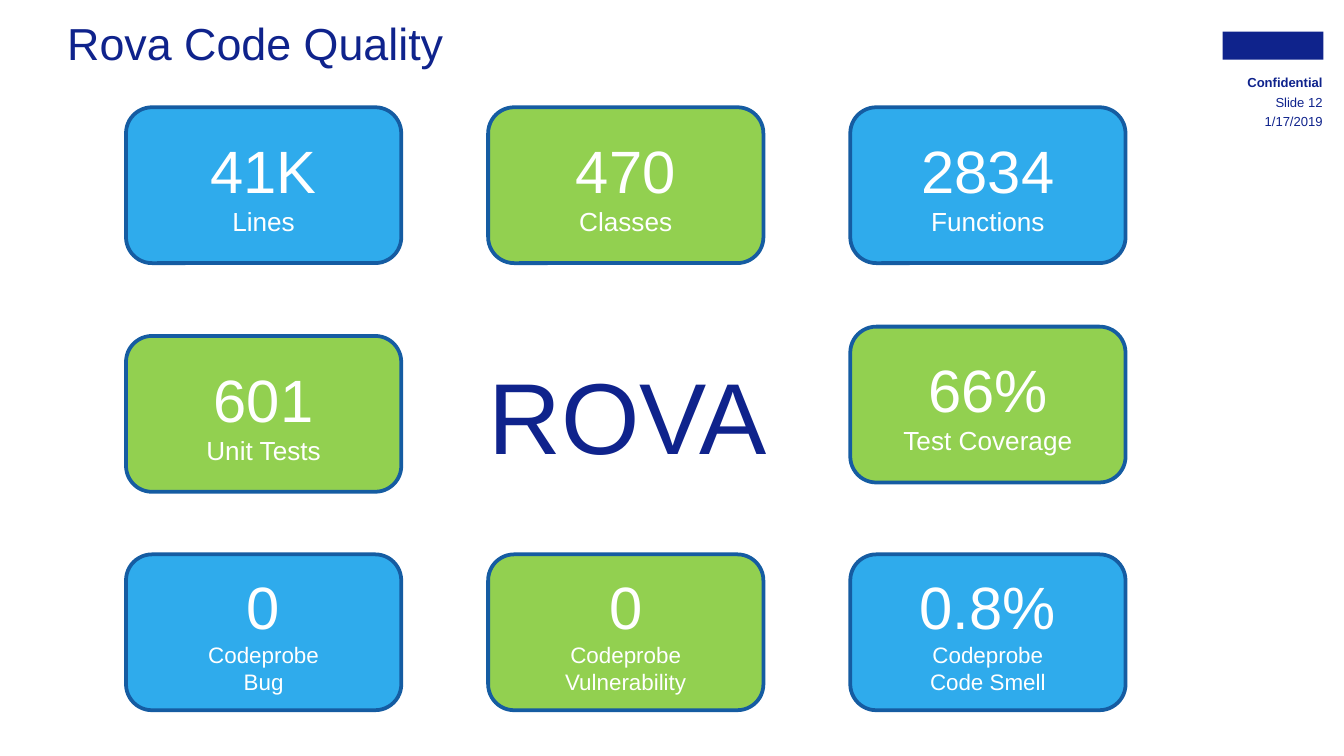
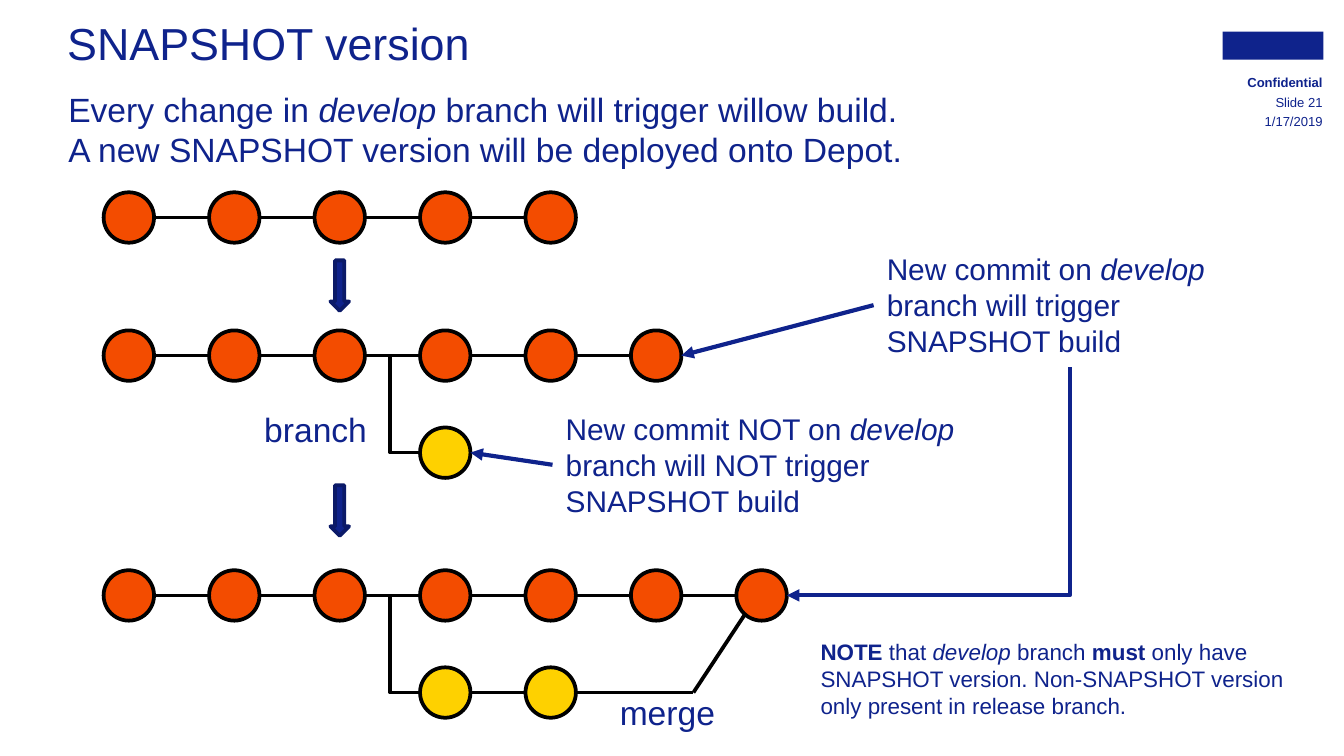
from lxml import etree
from pptx import Presentation
from pptx.dml.color import RGBColor
from pptx.enum import shapes, text
from pptx.oxml import ns
from pptx.util import Pt

NAVY = RGBColor(0x0F, 0x23, 0x8C)
DARK_NAVY = RGBColor(0x0B, 0x1A, 0x68)
SKY = RGBColor(0x2F, 0xAB, 0xEC)
GREEN = RGBColor(0x92, 0xD0, 0x50)
CARD_EDGE = RGBColor(0x15, 0x5C, 0xA2)
ORANGE = RGBColor(0xF3, 0x4C, 0x00)
YELLOW = RGBColor(0xFE, 0xD1, 0x00)
BLACK = RGBColor(0, 0, 0)
WHITE = RGBColor(0xFF, 0xFF, 0xFF)

FONT = "Arial"
TITLE_ONLY = 5
CARD_WIDTH, CARD_HEIGHT = 147.5, 83.5
CARD_LEFTS = [67.5 + 194 * column for column in range(3)]
DOT = 27
FIRST_DOT, DOT_PITCH = 55.5, 56.5
BRANCH_X, BRANCH_DROP = 209, 52
ITALIC = {"italic": True}
BOLD = {"bold": True}


def add_span(para, words, size, color=NAVY, style=None):
    span = para.add_run()
    span.text = words
    values = {"name": FONT, "size": Pt(size), "bold": False, "italic": False}
    for name, value in {**values, **(style or {})}.items():
        setattr(span.font, name, value)
    span.font.color.rgb = color


def fill_frame(frame, paras, color=NAVY, align=text.PP_ALIGN.LEFT,
               anchor=text.MSO_ANCHOR.TOP, inset=None):
    """Write paras, each a (size, spans) pair, where a span is (words, style)."""
    frame.word_wrap = True
    frame.auto_size = text.MSO_AUTO_SIZE.NONE
    frame.vertical_anchor = anchor
    if inset is not None:
        for side in ("left", "top", "right", "bottom"):
            setattr(frame, f"margin_{side}", Pt(inset))
    for index, (size, spans) in enumerate(paras):
        para = frame.add_paragraph() if index else frame.paragraphs[0]
        para.alignment = align
        for words, style in spans:
            add_span(para, words, size, color, style)


def add_label(page, left, top, width, height, paras, **options):
    box = page.shapes.add_textbox(Pt(left), Pt(top), Pt(width), Pt(height))
    fill_frame(box.text_frame, paras, **options)


def add_figure(page, kind, left, top, width, height, fill=None, edge=None):
    figure = page.shapes.add_shape(kind, Pt(left), Pt(top), Pt(width), Pt(height))
    figure.shadow.inherit = False
    if fill is None:
        figure.fill.background()
    else:
        figure.fill.solid()
        figure.fill.fore_color.rgb = fill
    if edge is None:
        figure.line.fill.background()
    else:
        figure.line.color.rgb = edge
        figure.line.width = Pt(2)
    return figure


def add_line(page, start, end, color=BLACK, width=2, arrow=None, elbow=False):
    """Connect two points; an elbow runs sideways first, arrow is headEnd or tailEnd."""
    kind = shapes.MSO_CONNECTOR.ELBOW if elbow else shapes.MSO_CONNECTOR.STRAIGHT
    line = page.shapes.add_connector(kind, *(Pt(v) for v in (*start, *end)))
    line.line.color.rgb = color
    line.line.width = Pt(width)
    properties = line._element.spPr
    if elbow:
        properties.find(ns.qn("a:prstGeom")).set("prst", "bentConnector2")
    if arrow:
        stroke = properties.find(ns.qn("a:ln"))
        etree.SubElement(stroke, ns.qn(f"a:{arrow}"), type="triangle")
    etree.SubElement(properties, ns.qn("a:effectLst"))


def add_page(deck, title, number):
    page = deck.slides.add_slide(deck.slide_layouts[TITLE_ONLY])
    heading = page.shapes.title
    place = {"left": 36, "top": 8.5, "width": 599, "height": 26}
    for name, value in place.items():
        setattr(heading, name, Pt(value))
    fill_frame(heading.text_frame, [(24, [(title, None)])], inset=0)
    add_figure(page, shapes.MSO_SHAPE.RECTANGLE, 655, 17, 54, 15, NAVY)
    details = [("Confidential", BOLD), (f"Slide {number}", None), ("1/17/2019", None)]
    for row, detail in enumerate(details):
        add_label(page, 649.5, 40.5 + 10.3 * row, 59, 7.5, [(7, [detail])],
                  align=text.PP_ALIGN.RIGHT, anchor=text.MSO_ANCHOR.MIDDLE, inset=0)
    return page


def add_card(page, left, top, paras, fill=None, edge=None, color=WHITE,
             width=CARD_WIDTH):
    card = add_figure(page, shapes.MSO_SHAPE.ROUNDED_RECTANGLE,
                      left, top, width, CARD_HEIGHT, fill, edge)
    fill_frame(card.text_frame, paras, color, text.PP_ALIGN.CENTER,
               text.MSO_ANCHOR.MIDDLE)


def build_quality(deck):
    page = add_page(deck, "Rova Code Quality", 12)
    metrics = [
        (0, 57.5, SKY, "41K", 14, ["Lines"]),
        (1, 57.5, GREEN, "470", 14, ["Classes"]),
        (2, 57.5, SKY, "2834", 14, ["Functions"]),
        (0, 180, GREEN, "601", 14, ["Unit Tests"]),
        (2, 175, GREEN, "66%", 14, ["Test Coverage"]),
        (0, 297, SKY, "0", 12, ["Codeprobe", "Bug"]),
        (1, 297, GREEN, "0", 12, ["Codeprobe Vulnerability"]),
        (2, 297, SKY, "0.8%", 12, ["Codeprobe", "Code Smell"]),
    ]
    for column, top, fill, figure, size, captions in metrics:
        paras = [(32, [(figure, None)])]
        paras += [(size, [(caption, None)]) for caption in captions]
        add_card(page, CARD_LEFTS[column], top, paras, fill, CARD_EDGE)
    add_card(page, 221, 180, [(54, [("ROVA", None)])], color=NAVY, width=230.5)


def dot_left(column):
    return FIRST_DOT + DOT_PITCH * column


def dot_right(column):
    return dot_left(column) + DOT


def add_commits(page, columns, middle, fill):
    """Draw a row of commits joined by lines."""
    for column in columns:
        add_figure(page, shapes.MSO_SHAPE.OVAL, dot_left(column), middle - DOT / 2,
                   DOT, DOT, fill, BLACK)
    for column in columns[:-1]:
        add_line(page, (dot_right(column), middle), (dot_left(column + 1), middle))


def add_branch(page, columns, middle):
    """Draw a side branch that leaves the main row at height middle."""
    level = middle + BRANCH_DROP
    add_line(page, (dot_left(columns[0]), level), (BRANCH_X, middle), elbow=True)
    add_commits(page, columns, level, YELLOW)


def build_snapshot(deck):
    page = add_page(deck, "SNAPSHOT version", 21)
    before, committed, merged = 116.5, 190.5, 319
    add_commits(page, range(5), before, ORANGE)
    add_commits(page, range(6), committed, ORANGE)
    add_branch(page, range(3, 4), committed)
    add_commits(page, range(7), merged, ORANGE)
    add_branch(page, range(3, 5), merged)

    level = merged + BRANCH_DROP
    corner = (371.5, level)
    add_line(page, (dot_right(4), level), corner)
    add_line(page, corner, (399.5, 328.5))
    for top in (139.5, 260):
        add_figure(page, shapes.MSO_SHAPE.DOWN_ARROW, 177, top, 10, 27,
                   NAVY, DARK_NAVY)

    pointer = {"color": NAVY, "width": 2.25}
    add_line(page, (468, 163.5), (dot_right(5), committed), arrow="tailEnd", **pointer)
    add_line(page, (296, 249), (dot_right(3), committed + BRANCH_DROP),
             arrow="tailEnd", **pointer)
    add_line(page, (dot_right(6), merged), (573, 196.5), arrow="headEnd",
             elbow=True, **pointer)

    add_label(page, 29.5, 44, 590.5, 51, [
        (18, [("Every change in ", None), ("develop ", ITALIC),
              ("branch will trigger willow build.", None)]),
        (18, [("A new SNAPSHOT version will be deployed onto Depot.", None)])])
    add_label(page, 468, 131, 211, 65.5, [
        (16, [("New commit on ", None), ("develop", ITALIC),
              (" branch will trigger SNAPSHOT build", None)])])
    add_label(page, 296, 216.5, 227.5, 65.5, [
        (16, [("New commit NOT on ", None), ("develop", ITALIC),
              (" branch will NOT trigger SNAPSHOT build", None)])])
    add_label(page, 134.5, 215.5, 71.5, 29, [(18, [("branch", None)])])
    add_label(page, 325, 367, 71.5, 29, [(18, [("merge", None)])])
    add_label(page, 432.5, 338.5, 287.5, 51, [
        (12, [("NOTE", BOLD), (" that ", None), ("develop", ITALIC),
              (" branch ", None), ("must", BOLD),
              (" only have SNAPSHOT version. Non-SNAPSHOT version only present "
               "in release branch.", None)])])


def main():
    deck = Presentation()
    deck.slide_width, deck.slide_height = Pt(720), Pt(405)
    build_quality(deck)
    build_snapshot(deck)
    deck.save("out.pptx")


if __name__ == "__main__":
    main()
